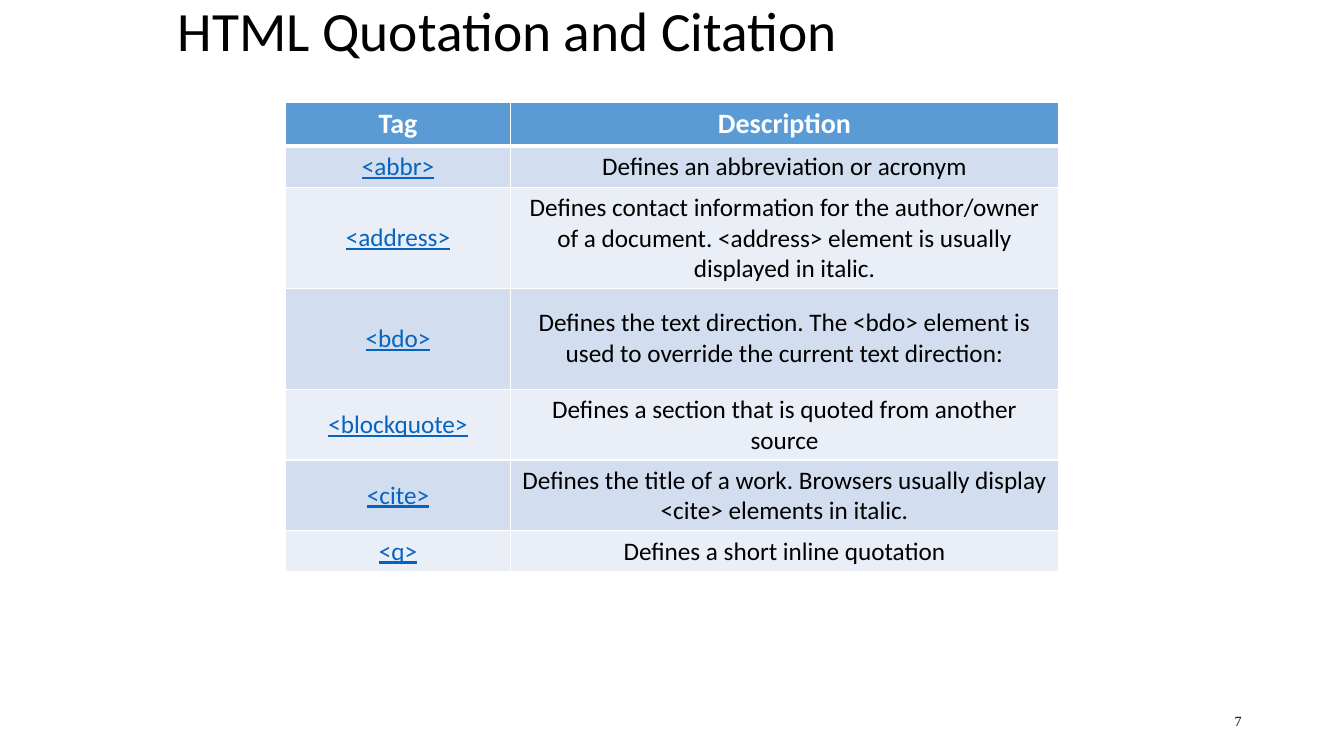
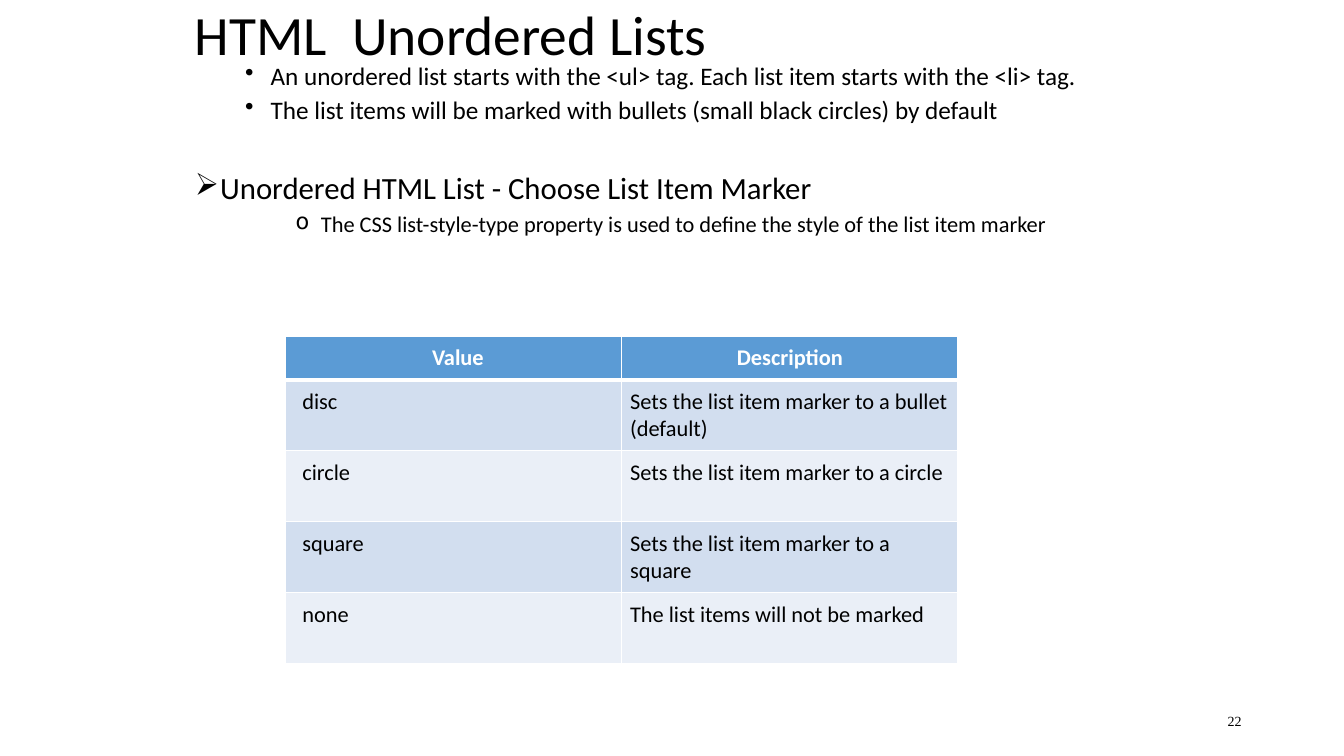
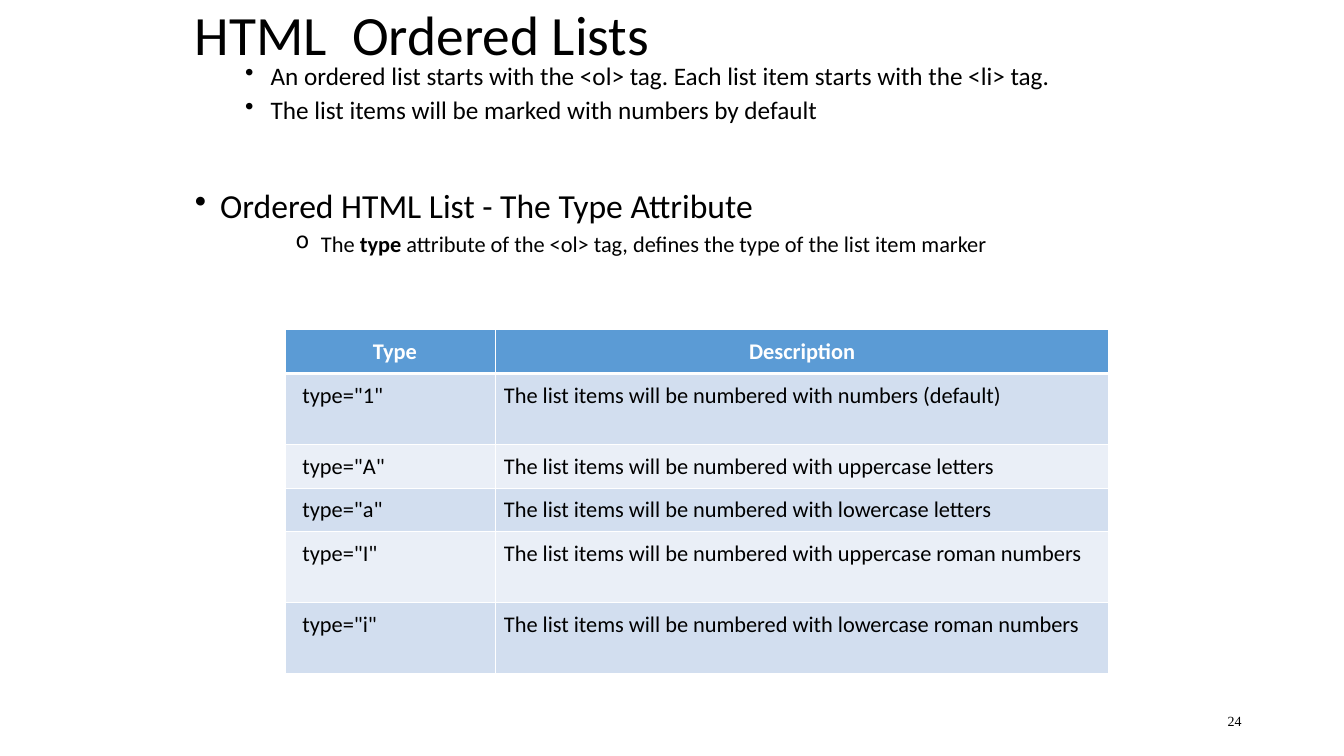
from dataclasses import dataclass
from typing import Any

from lxml.etree import SubElement
from pptx import Presentation
from pptx.dml.color import RGBColor
from pptx.enum.text import MSO_ANCHOR as Anchor, MSO_AUTO_SIZE as AutoSize, PP_ALIGN as Align
from pptx.oxml.ns import qn
from pptx.slide import Slide
from pptx.util import Cm, Pt

BLACK = RGBColor(0x00, 0x00, 0x00)
WHITE = RGBColor(0xFF, 0xFF, 0xFF)
LINK_BLUE = RGBColor(0x05, 0x63, 0xC1)
HEADER_BLUE = RGBColor(0x5B, 0x9B, 0xD5)
BANDS = (RGBColor(0xD2, 0xDE, 0xEF), RGBColor(0xEA, 0xEF, 0xF7))

TITLE_ONLY = 5
TABLE_LEFT = 7.2
LINE_SPACING = 0.9
SHORT, TALL = 1.1, 1.79

Box = tuple[float, float, float, float]
LIST_TITLE_BOX: Box = (4.66, 0, 22.86, 1.9)
BODY_BOX: Box = (4.66, 1.47, 22.86, 16.08)
NUMBER_BOX: Box = (23.92, 17.65, 7.62, 1.02)


@dataclass(frozen=True)
class BodyLine:
    phrases: tuple[str, ...]
    level: int
    size: int
    bullet: str
    space_before: float = 5


@dataclass(frozen=True)
class TableStyle:
    header_size: int
    body_size: int
    anchor: Anchor
    align: Align
    left_margins: tuple[float, float]
    right_margin: float
    vertical_margin: float
    key_font: dict[str, Any]


@dataclass(frozen=True)
class TagTable:
    top: float
    widths: tuple[float, float]
    heights: tuple[float, ...]
    rows: tuple[tuple[str, str], ...]
    style: TableStyle


@dataclass(frozen=True)
class Lesson:
    title: str
    number: str
    table: TagTable
    title_box: Box = LIST_TITLE_BOX
    body: tuple[BodyLine, ...] = ()


TAG_STYLE = TableStyle(20, 18, Anchor.MIDDLE, Align.CENTER, (0.25, 0.25), 0.25, 0.13,
                       {"color": LINK_BLUE, "underline": True})
MARKER_STYLE = TableStyle(16, 16, Anchor.TOP, Align.LEFT, (0.42, 0.21), 0.21, 0.21, {})

LESSONS = (
    Lesson(
        "HTML Quotation and Citation", "7",
        TagTable(2.57, (5.66, 13.82), (1.09, 1.04, 2.54, 2.54, 1.78, 1.78, 1.04), (
            ("Tag", "Description"),
            ("<abbr>", "Defines an abbreviation or acronym"),
            ("<address>", "Defines contact information for the author/owner of a document. "
                          "<address> element is usually displayed in italic."),
            ("<bdo>", "Defines the text direction. The <bdo> element is used to override "
                      "the current text direction:"),
            ("<blockquote>", "Defines a section that is quoted from another source"),
            ("<cite>", "Defines the title of a work. Browsers usually display <cite> "
                       "elements in italic."),
            ("<q>", "Defines a short inline quotation"),
        ), TAG_STYLE),
        title_box=(4.23, 0.21, 22.86, 1.27),
    ),
    Lesson(
        "HTML  Unordered Lists", "22",
        TagTable(8.47, (8.47, 8.47), (SHORT, TALL, TALL, TALL, TALL), (
            ("Value", "Description"),
            ("disc", "Sets the list item marker to a bullet (default)"),
            ("circle", "Sets the list item marker to a circle"),
            ("square", "Sets the list item marker to a square"),
            ("none", "The list items will not be marked"),
        ), MARKER_STYLE),
        body=(
            BodyLine(("An unordered list starts with the <ul> tag. "
                      "Each list item starts with the <li> tag.",), 1, 18, "•", 0),
            BodyLine(("The list items will be marked with bullets "
                      "(small black circles) by default",), 1, 18, "•"),
            BodyLine(("Unordered HTML List - Choose List Item Marker",), 0, 22, "➢", 34.8),
            BodyLine(("The CSS list-style-type property is used to define "
                      "the style of the list item marker",), 2, 16, "o"),
        ),
    ),
    Lesson(
        "HTML  Ordered Lists", "24",
        TagTable(8.31, (5.29, 15.45), (SHORT, TALL, SHORT, SHORT, TALL, TALL), (
            ("Type", "Description"),
            ('type="1"', "The list items will be numbered with numbers (default)"),
            ('type="A"', "The list items will be numbered with uppercase letters"),
            ('type="a"', "The list items will be numbered with lowercase letters"),
            ('type="I"', "The list items will be numbered with uppercase roman numbers"),
            ('type="i"', "The list items will be numbered with lowercase roman numbers"),
        ), MARKER_STYLE),
        body=(
            BodyLine(("An ordered list starts with the <ol> tag. "
                      "Each list item starts with the <li> tag.",), 1, 18, "•", 0),
            BodyLine(("The list items will be marked with numbers by default",), 1, 18, "•"),
            BodyLine(("Ordered HTML List - The Type Attribute",), 0, 24, "•", 46.4),
            BodyLine(("The ", "type", " attribute of the <ol> tag, defines the type "
                      "of the list item marker"), 2, 16, "o"),
        ),
    ),
)


def apply(target: Any, formats: dict[str, Any]) -> None:
    for attribute, value in formats.items():
        setattr(target, attribute, value)


def add_run(paragraph: Any, text: str, size: float, color: RGBColor = BLACK,
            name: str = "Calibri", **extras: Any) -> None:
    run = paragraph.add_run()
    run.text = text
    apply(run.font, {"size": Pt(size), "name": name, **extras})
    run.font.color.rgb = color


def add_title(slide: Slide, lesson: Lesson) -> None:
    title = slide.shapes.title
    apply(title, dict(zip(("left", "top", "width", "height"), map(Cm, lesson.title_box))))
    apply(title.text_frame, {"word_wrap": True, "auto_size": AutoSize.NONE,
                             "vertical_anchor": Anchor.MIDDLE})
    heading = title.text_frame.paragraphs[0]
    apply(heading, {"alignment": Align.LEFT, "line_spacing": LINE_SPACING})
    add_run(heading, lesson.title, 39.6)


def add_number(slide: Slide, number: str) -> None:
    frame = slide.shapes.add_textbox(*map(Cm, NUMBER_BOX)).text_frame
    apply(frame, {"word_wrap": True, "vertical_anchor": Anchor.MIDDLE})
    frame.paragraphs[0].alignment = Align.RIGHT
    add_run(frame.paragraphs[0], number, 10, name="Times New Roman")


def add_body(slide: Slide, lines: tuple[BodyLine, ...]) -> None:
    frame = slide.shapes.add_textbox(*map(Cm, BODY_BOX)).text_frame
    frame.word_wrap = True
    hanging = Cm(0.64)
    for index, line in enumerate(lines):
        paragraph = frame.add_paragraph() if index else frame.paragraphs[0]
        properties = paragraph._p.get_or_add_pPr()
        properties.set("marL", str(hanging + line.level * Cm(1.27)))
        properties.set("indent", str(-hanging))
        SubElement(properties, qn("a:buChar"), char=line.bullet)
        apply(paragraph, {"level": line.level, "alignment": Align.JUSTIFY,
                          "line_spacing": LINE_SPACING,
                          "space_before": Pt(line.space_before)})
        for position, phrase in enumerate(line.phrases):
            add_run(paragraph, phrase, line.size, bold=position % 2 == 1)


def add_borders(cell: Any, bottom_width: float) -> None:
    properties = cell._tc.get_or_add_tcPr()
    for side, width in (("L", 1), ("R", 1), ("T", 1), ("B", bottom_width)):
        border = SubElement(properties, qn(f"a:ln{side}"), w=str(Pt(width)))
        fill = SubElement(border, qn("a:solidFill"))
        SubElement(fill, qn("a:srgbClr"), val=str(WHITE))


def add_tag_table(slide: Slide, tags: TagTable) -> None:
    style = tags.style
    table = slide.shapes.add_table(
        len(tags.rows), len(tags.widths), Cm(TABLE_LEFT), Cm(tags.top),
        Cm(sum(tags.widths)), Cm(sum(tags.heights))).table
    for column, width in zip(table.columns, tags.widths):
        column.width = Cm(width)
    for row_index, (texts, height) in enumerate(zip(tags.rows, tags.heights)):
        table.rows[row_index].height = Cm(height)
        is_header = row_index == 0
        for column_index, text in enumerate(texts):
            cell = table.cell(row_index, column_index)
            apply(cell, {"vertical_anchor": style.anchor,
                         "margin_left": Cm(style.left_margins[column_index]),
                         "margin_right": Cm(style.right_margin),
                         "margin_top": Cm(style.vertical_margin),
                         "margin_bottom": Cm(style.vertical_margin)})
            add_borders(cell, 3 if is_header else 1)
            cell.fill.solid()
            cell.fill.fore_color.rgb = HEADER_BLUE if is_header else BANDS[(row_index - 1) % 2]
            paragraph = cell.text_frame.paragraphs[0]
            paragraph.alignment = Align.CENTER if is_header else style.align
            if is_header:
                add_run(paragraph, text, style.header_size, WHITE, bold=True)
            else:
                key_font = style.key_font if column_index == 0 else {}
                add_run(paragraph, text, style.body_size, bold=False, **key_font)


def main() -> None:
    deck = Presentation()
    apply(deck, {"slide_width": Cm(33.87), "slide_height": Cm(19.05)})
    for lesson in LESSONS:
        slide = deck.slides.add_slide(deck.slide_layouts[TITLE_ONLY])
        add_title(slide, lesson)
        add_number(slide, lesson.number)
        if lesson.body:
            add_body(slide, lesson.body)
        add_tag_table(slide, lesson.table)
    deck.save("out.pptx")


if __name__ == "__main__":
    main()
